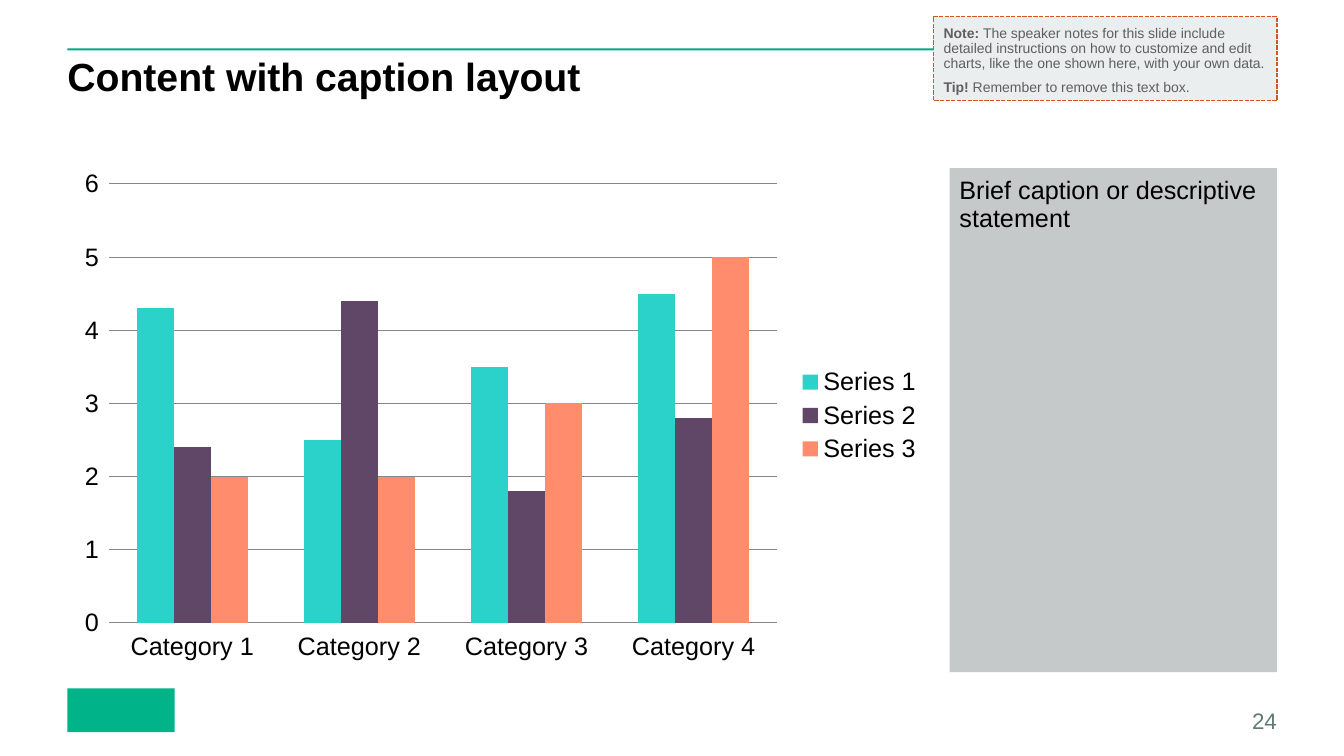
import pptx
import pptx.chart.data
import pptx.dml.color
import pptx.enum.chart
import pptx.enum.dml
import pptx.enum.shapes
import pptx.enum.text
import pptx.util
from pptx.dml.color import RGBColor
from pptx.util import Cm, Pt

FONT = "Arial"
BLACK = RGBColor(0x00, 0x00, 0x00)
GREEN = RGBColor(0x00, 0xA9, 0x82)
LOGO_GREEN = RGBColor(0x00, 0xB3, 0x88)
GRID_GREY = RGBColor(0x86, 0x86, 0x86)
CAPTION_GREY = RGBColor(0xC6, 0xC9, 0xCA)
NOTE_FILL = RGBColor(0xEA, 0xEE, 0xEF)
NOTE_TEXT = RGBColor(0x5F, 0x5F, 0x5F)
NOTE_BORDER = RGBColor(0xD9, 0x54, 0x1E)
NUMBER_GREY = RGBColor(0x5F, 0x7A, 0x76)
SERIES_COLORS = [
    RGBColor(0x2A, 0xD2, 0xC9),
    RGBColor(0x61, 0x47, 0x67),
    RGBColor(0xFF, 0x8D, 0x6D),
]

deck = pptx.Presentation()
deck.slide_width, deck.slide_height = Cm(33.87), Cm(19.05)
page = deck.slides.add_slide(deck.slide_layouts[6])


def add_panel(left, top, width, height, fill):
    panel = page.shapes.add_shape(
        pptx.enum.shapes.MSO_SHAPE.RECTANGLE, Cm(left), Cm(top), Cm(width), Cm(height))
    panel.shadow.inherit = False
    panel.fill.solid()
    panel.fill.fore_color.rgb = fill
    panel.line.fill.background()
    return panel


def write(box, paragraphs, size, color, margin=0, before=0, spacing=0.9):
    """Fill a box with paragraphs, each a list of (text, bold) spans."""
    frame = box.text_frame
    frame.word_wrap = True
    frame.vertical_anchor = pptx.enum.text.MSO_ANCHOR.TOP
    frame.margin_left = frame.margin_right = Cm(margin)
    frame.margin_top = frame.margin_bottom = Cm(margin)
    for index, spans in enumerate(paragraphs):
        para = frame.add_paragraph() if index else frame.paragraphs[0]
        para.alignment = pptx.enum.text.PP_ALIGN.LEFT
        para.line_spacing = spacing
        para.space_before = Pt(before)
        for text, bold in spans:
            span = para.add_run()
            span.text = text
            span.font.name = FONT
            span.font.size = Pt(size)
            span.font.bold = bold
            span.font.color.rgb = color


# Rule above the title, and a plain block for the logo
add_panel(1.7, 1.22, 30.48, 0.05, GREEN)
add_panel(1.7, 17.35, 2.7, 1.1, LOGO_GREEN)

# Title
title = page.shapes.add_textbox(Cm(1.7), Cm(1.45), Cm(30.48), Cm(2.36))
write(title, [[("Content with caption layout", True)]], 28, BLACK)

# Column chart
chart_data = pptx.chart.data.CategoryChartData()
chart_data.categories = [f"Category {number}" for number in range(1, 5)]
chart_data.add_series("Series 1", [4.3, 2.5, 3.5, 4.5])
chart_data.add_series("Series 2", [2.4, 4.4, 1.8, 2.8])
chart_data.add_series("Series 3", [2, 2, 3, 5])
chart = page.shapes.add_chart(
    pptx.enum.chart.XL_CHART_TYPE.COLUMN_CLUSTERED,
    Cm(1.7), Cm(4.02), Cm(21.8), Cm(12.9), chart_data).chart
chart.has_title = False
chart.font.name = FONT
chart.font.size = Pt(18)
chart.font.color.rgb = BLACK
chart.has_legend = True
chart.legend.position = pptx.enum.chart.XL_LEGEND_POSITION.RIGHT
chart.legend.include_in_layout = False

plot = chart.plots[0]
plot.vary_by_categories = False
plot.gap_width = 150
plot.overlap = 0
for series, color in zip(plot.series, SERIES_COLORS):
    series.format.fill.solid()
    series.format.fill.fore_color.rgb = color

for axis in (chart.category_axis, chart.value_axis):
    axis.format.line.fill.background()
    axis.major_tick_mark = pptx.enum.chart.XL_TICK_MARK.OUTSIDE
values = chart.value_axis
values.minimum_scale, values.maximum_scale, values.major_unit = 0, 6, 1
values.has_major_gridlines = True
values.major_gridlines.format.line.color.rgb = GRID_GREY
values.major_gridlines.format.line.width = Pt(0.75)

# Caption panel
caption = add_panel(23.93, 4.24, 8.25, 12.7, CAPTION_GREY)
write(caption, [[("Brief caption or descriptive statement", False)]],
      18, BLACK, margin=0.25, before=9)

# Page number
number = page.shapes.add_textbox(Cm(30.7), Cm(17.85), Cm(1.48), Cm(0.64))
write(number, [[("24", False)]], 16, NUMBER_GREY, spacing=1.0)
number.text_frame.word_wrap = False
number.text_frame.vertical_anchor = pptx.enum.text.MSO_ANCHOR.BOTTOM
number.text_frame.paragraphs[0].alignment = pptx.enum.text.PP_ALIGN.RIGHT

# Note box over the rule
note = add_panel(23.53, 0.42, 8.65, 2.12, NOTE_FILL)
note.line.color.rgb = NOTE_BORDER
note.line.width = Pt(1)
note.line.dash_style = pptx.enum.dml.MSO_LINE.SQUARE_DOT
write(note, [
    [("Note: ", True),
     ("The speaker notes for this slide include detailed instructions on how to "
      "customize and edit charts, like the one shown here, with your own data.", False)],
    [("Tip! ", True), ("Remember to remove this text box.", False)],
], 10, NOTE_TEXT, margin=0.25, before=6)

deck.save("out.pptx")
